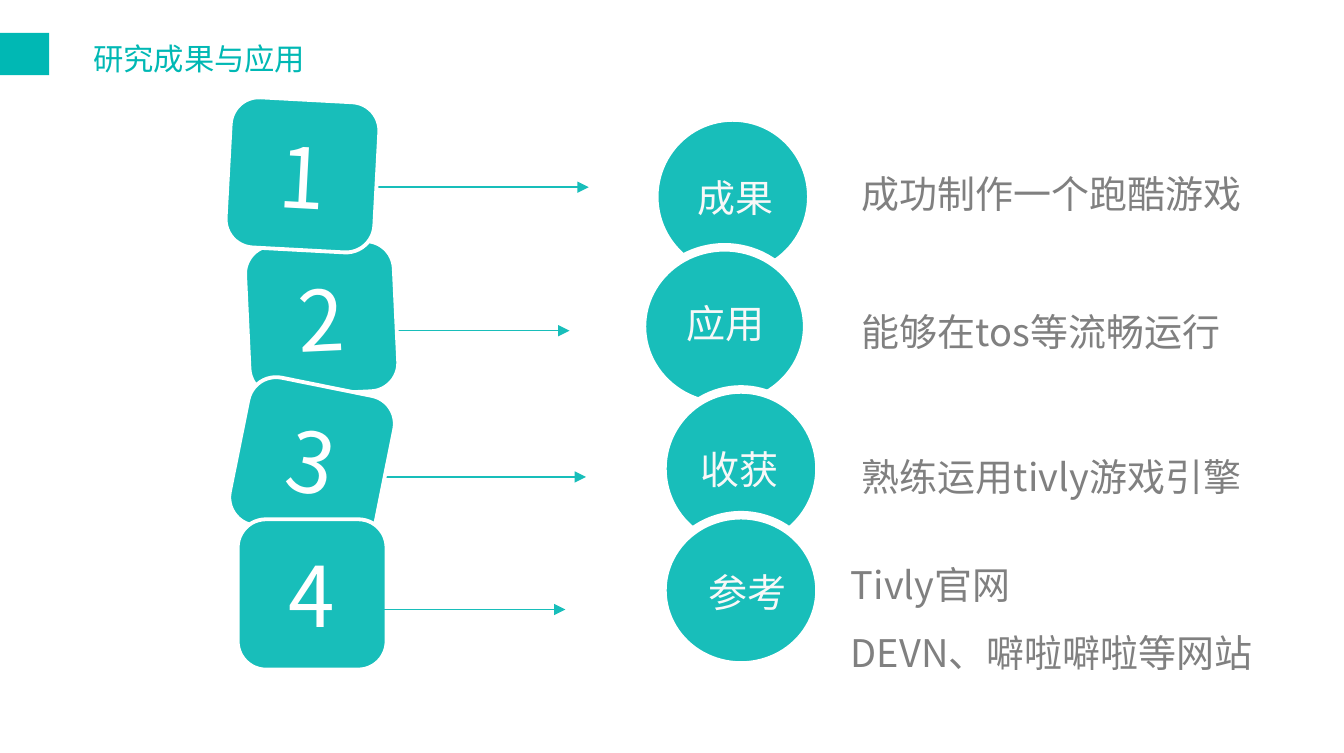
from lxml.etree import SubElement as Sub
from pptx import Presentation
from pptx.dml.color import RGBColor as Rgb
from pptx.enum.shapes import MSO_CONNECTOR as Conn, MSO_SHAPE as Kind
from pptx.enum.text import MSO_ANCHOR as Anchor, PP_ALIGN as Align
from pptx.oxml.ns import qn
from pptx.util import Inches, Pt

WIDE, HIGH = 98.4, 55.1
FONT = "Noto Sans CJK SC"
TEAL, MARK, GRAY, PALE, WHITE = "18BEBA", "00B8B4", "808080", "F8F8F8", "FFFFFF"
TITLE = "研究成果与应用"
TILE, DISC, NOTE = (10.9, 11), 11.5, 32.4

TILES = [
    ("2", 18.1, 17.8, 357.3),
    ("1", 16.7, 7.3, 3.1),
    ("3", 17.4, 28.2, 11.4),
    ("4", 17.4, 38, 0),
]
UNDER = [(27, 43.1, 13.7), (28.3, 41.7, 24.2), (25.5, 42.9, 34.9)]
OVER = (27.9, 41.4, 44.6)
DISCS = [
    ((47.9, 8.6, DISC, 11.6), "成果", 50.1, 12.3, 20),
    ((47, 18.1, 12.1, 11.6), "应用", 49.3, 21.4, 20.6),
    ((48.5, 28.5, DISC, 11.6), "收获", 50.3, 32.1, 20.6),
    ((48.5, 37.7, DISC, 11), "参考", 50.9, 41.1, 20.6),
]
NOTES = [
    ("成功制作一个跑酷游戏", 62.4, 10.4, NOTE, 5.2),
    ("能够在tos等流畅运行", 62.4, 20.5, NOTE, 5.8),
    ("熟练运用tivly游戏引擎", 62.4, 31.1, NOTE, 5.2),
    ("Tivly官网\nDEVN、噼啦噼啦等网站", 61.6, 39, 35.6, 10.2),
]


def unit(*vals):
    return [Inches(v / 10) for v in vals]


def color(code):
    return Rgb.from_string(code)


def write(shape, text, size, code, align=Align.LEFT, space=1.0):
    frame = shape.text_frame
    frame.text = text
    for para in frame.paragraphs:
        para.alignment = align
        para.line_spacing = space
        for run in para.runs:
            font = run.font
            font.size, font.name, font.bold = Pt(size), FONT, False
            font.color.rgb = color(code)
            Sub(font._element, qn("a:ea"), typeface=FONT)


def inset(frame, side, top):
    frame.margin_left = frame.margin_right = Inches(side)
    frame.margin_top = frame.margin_bottom = Inches(top)


def block(slide, kind, box, fill, edge=0):
    shape = slide.shapes.add_shape(kind, *unit(*box))
    shape.shadow.inherit = False
    shape.fill.solid()
    shape.fill.fore_color.rgb = color(fill)
    if edge:
        shape.line.color.rgb = color(WHITE)
        shape.line.width = Pt(edge)
    else:
        shape.line.fill.background()
    return shape


def label(slide, box, wrap):
    shape = slide.shapes.add_textbox(*unit(*box))
    shape.text_frame.word_wrap = wrap
    return shape


def arrow(slide, start, end, y):
    line = slide.shapes.add_connector(Conn.STRAIGHT, *unit(start, y, end, y))
    line.line.color.rgb = color(TEAL)
    line.line.width = Pt(0.75)
    Sub(line.line._get_or_add_ln(), qn("a:tailEnd"), type="triangle")
    Sub(line._element.spPr, qn("a:effectLst"))


def main():
    deck = Presentation()
    deck.slide_width, deck.slide_height = unit(WIDE, HIGH)
    slide = deck.slides.add_slide(deck.slide_layouts[5])

    title = slide.shapes.title
    title.left, title.top, title.width, title.height = unit(2, 2.4, 25.2, 4.7)
    inset(title.text_frame, 0, 0)
    title.text_frame.vertical_anchor = Anchor.TOP
    write(title, TITLE, 16, MARK, Align.CENTER, 1.2)
    block(slide, Kind.RECTANGLE, (0, 2.4, 3.6, 3.1), MARK)

    for box, word, x, y, size in DISCS:
        block(slide, Kind.OVAL, box, TEAL, 4.5)
        write(label(slide, (x, y, 7.8, 4.5), False), word, size, PALE)

    for text, *box in NOTES:
        note = label(slide, box, True)
        inset(note.text_frame, 0.07, 0.04)
        write(note, text, 20, GRAY, space=1.5)

    for ends in UNDER:
        arrow(slide, *ends)

    for digit, x, y, turn in TILES:
        tile = block(slide, Kind.ROUNDED_RECTANGLE, (x, y, *TILE), TEAL, 2)
        tile.adjustments[0] = 0.19
        tile.rotation = turn
        tile.text_frame.vertical_anchor = Anchor.MIDDLE
        write(tile, digit, 44.1, WHITE, Align.CENTER)

    arrow(slide, *OVER)

    deck.save("out.pptx")


if __name__ == "__main__":
    main()
